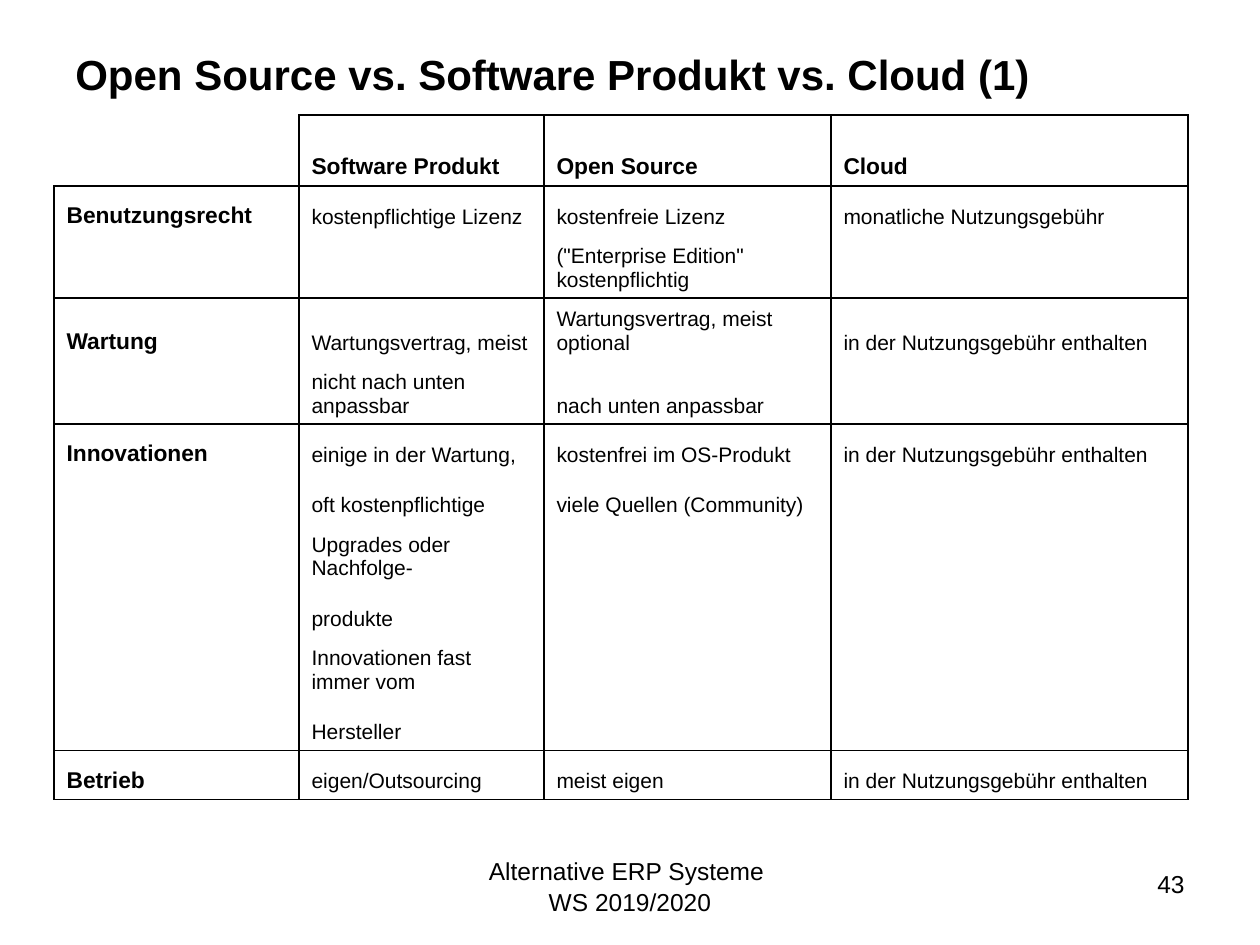
"""Build the slide comparing open source, software product and cloud."""
from lxml import etree
from pptx import Presentation, util as u
from pptx.dml.color import RGBColor
from pptx.enum import text
from pptx.oxml import ns

PX = 914400 // 126
FONT = "Arial"
COLORS = {"ink": "000000", "paper": "FFFFFF"}
TITLE = "Open Source vs. Software Produkt vs. Cloud (1)"
FOOTER = ["Alternative ERP Systeme ", "WS 2019/2020"]
PAGE = "43"
CLOUD = "in der Nutzungsgebühr enthalten"
GROUPS = [
    [("", "Software Produkt", "Open Source", "Cloud")],
    [("Benutzungsrecht", "kostenpflichtige Lizenz", "kostenfreie Lizenz",
      "monatliche Nutzungsgebühr"),
     ("", "", '("Enterprise Edition" kostenpflichtig', "")],
    [("Wartung", "Wartungsvertrag, meist", "Wartungsvertrag, meist optional", CLOUD),
     ("", "nicht nach unten anpassbar", "nach unten anpassbar", "")],
    [("Innovationen", "einige in der Wartung,", "kostenfrei im OS-Produkt", CLOUD),
     ("", "oft kostenpflichtige", "viele Quellen (Community)", ""),
     ("", "Upgrades oder Nachfolge-", "", ""),
     ("", "produkte", "", ""),
     ("", "Innovationen fast immer vom", "", ""),
     ("", "Hersteller", "", "")],
    [("Betrieb", "eigen/Outsourcing", "meist eigen", CLOUD)],
]
COLUMNS = [245, 245, 287, 357]
HEADER, SINGLE, DOUBLE = 71, 49, 63
ROW_HEIGHTS = [HEADER, SINGLE, DOUBLE, DOUBLE, DOUBLE, SINGLE,
               SINGLE, DOUBLE, SINGLE, DOUBLE, SINGLE, SINGLE]


def px(*values):
    return [u.Emu(v * PX) for v in values]


def style(p, size, bold=False):
    for r in p.runs:
        r.font.name, r.font.size, r.font.bold = FONT, u.Pt(size), bold
        r.font.color.rgb = RGBColor.from_string(COLORS["ink"])


def add_text(s, box, lines, size, align, top, bold=False):
    sp = s.shapes.add_textbox(*px(*box))
    tf = sp.text_frame
    tf.word_wrap = True
    tf.margin_top = px(top)[0]
    tf.text = "\n".join(lines)
    for i, p in enumerate(tf.paragraphs):
        p.alignment = align
        if i:
            p.space_before = u.Pt(1)
        style(p, size, bold)
    return sp


def set_borders(cell, visible):
    tc_pr = cell._tc.get_or_add_tcPr()
    for i, side in enumerate("LRTB"):
        ln = etree.Element(ns.qn(f"a:ln{side}"), w=str(u.Pt(1)))
        if side in visible:
            fill = etree.SubElement(ln, ns.qn("a:solidFill"))
            etree.SubElement(fill, ns.qn("a:srgbClr"), val=COLORS["ink"])
        else:
            etree.SubElement(ln, ns.qn("a:noFill"))
        tc_pr.insert(i, ln)


def add_comparison(s):
    rows = [(values, i == 0, i == len(group) - 1)
            for group in GROUPS for i, values in enumerate(group)]
    box = px(54, 115, sum(COLUMNS), sum(ROW_HEIGHTS))
    table = s.shapes.add_table(len(rows), len(COLUMNS), *box).table
    table.first_row = table.horz_banding = False
    for column, width in zip(table.columns, px(*COLUMNS)):
        column.width = width
    for row, height in zip(table.rows, px(*ROW_HEIGHTS)):
        row.height = height
    for i, (values, first, last) in enumerate(rows):
        for j, value in enumerate(values):
            cell = table.cell(i, j)
            cell.fill.background()
            cell.vertical_anchor = text.MSO_ANCHOR.BOTTOM
            if value:
                cell.text = value
                heading = i == 0 or j == 0
                style(cell.text_frame.paragraphs[0], 13 if heading else 12, heading)
            corner = i == j == 0
            sides = "RB" if corner else "LR" + "T" * first + "B" * last
            set_borders(cell, sides)


def main():
    prs = Presentation()
    prs.slide_width, prs.slide_height = px(1260, 945)
    s = prs.slides.add_slide(prs.slide_layouts[6])
    align = text.PP_ALIGN
    title = add_text(s, (63, 38, 1134, 87), [TITLE], 24, align.LEFT, 11, True)
    title.fill.solid()
    title.fill.fore_color.rgb = RGBColor.from_string(COLORS["paper"])
    add_comparison(s)
    add_text(s, (456, 848, 348, 72), FOOTER, 14, align.CENTER, 8)
    add_text(s, (903, 861, 294, 66), [PAGE], 14, align.RIGHT, 8)
    prs.save("out.pptx")


if __name__ == "__main__":
    main()
